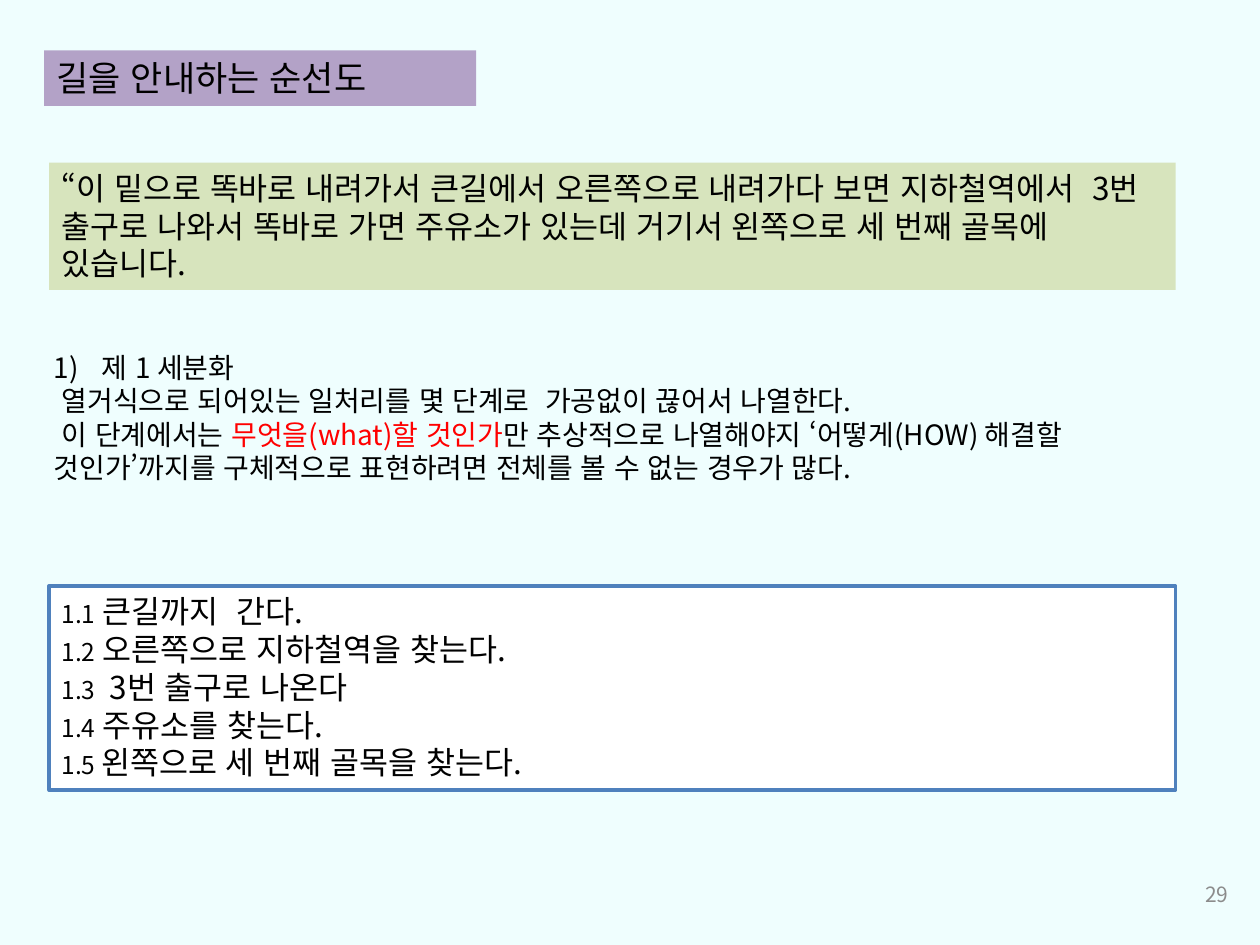
"""Build the Korean slide on breaking route directions into steps."""
import pptx
import pptx.util
import pptx.dml.color
import pptx.enum.lang
import pptx.enum.shapes
import pptx.enum.text
import pptx.oxml.ns
import lxml.etree

THEME = {
    "font": "Noto Sans CJK KR",
    "back": "EFFEFE", "head": "B3A2C7", "quote": "D7E4BD", "list": "FFFFFF",
    "edge": "4F81BD", "ink": "000000", "key": "FF0000", "page": "8C8C8C",
    "title": 20, "body": 18, "note": 16, "mark": 14, "foot": 12,
}
WIDE, HIGH = 10, 7.5
LEFT, SPAN = 0.039 * WIDE, 0.894 * WIDE
ALIGN = pptx.enum.text.PP_ALIGN
ANCHOR = pptx.enum.text.MSO_ANCHOR
RECT = pptx.enum.shapes.MSO_SHAPE.RECTANGLE


def tint(name):
    return pptx.dml.color.RGBColor.from_string(THEME[name])


def write(shape, lines, align=ALIGN.LEFT, anchor=ANCHOR.TOP):
    frame = shape.text_frame
    frame.word_wrap = True
    frame.auto_size = pptx.enum.text.MSO_AUTO_SIZE.NONE
    frame.vertical_anchor = anchor
    for row, line in enumerate(lines):
        para = frame.add_paragraph() if row else frame.paragraphs[0]
        para.alignment = align
        for text, size, color in line:
            run = para.add_run()
            run.text = text
            run.font.size = pptx.util.Pt(THEME[size])
            run.font.color.rgb = tint(color)
            run.font.name = THEME["font"]
            run.font.language_id = pptx.enum.lang.MSO_LANGUAGE_ID.KOREAN
            east = lxml.etree.SubElement(run.font._element, pptx.oxml.ns.qn("a:ea"))
            east.set("typeface", THEME["font"])


deck = pptx.Presentation()
deck.slide_width = pptx.util.Inches(WIDE)
deck.slide_height = pptx.util.Inches(HIGH)
slide = deck.slides.add_slide(deck.slide_layouts[5])
slide.background.fill.solid()
slide.background.fill.fore_color.rgb = tint("back")

title = slide.shapes.title
title.left, title.top, title.width, title.height = map(
    pptx.util.Inches, (0.035 * WIDE, 0.4, 0.343 * WIDE, 0.44))
title.fill.solid()
title.fill.fore_color.rgb = tint("head")
write(title, [[("길을 안내하는 순선도", "title", "ink")]])

quote = [[(
    "“이 밑으로 똑바로 내려가서 큰길에서 오른쪽으로 내려가다 보면 지하철역에서  3번 출구로 "
    "나와서 똑바로 가면 주유소가 있는데 거기서 왼쪽으로 세 번째 골목에 있습니다.",
    "body", "ink")]]
steps = [
    ("1.1", " 큰길까지  간다."),
    ("1.2", " 오른쪽으로 지하철역을 찾는다."),
    ("1.3", "  3번 출구로 나온다"),
    ("1.4", " 주유소를 찾는다."),
    ("1.5 ", "왼쪽으로 세 번째 골목을 찾는다."),
]
items = [[(mark, "mark", "ink"), (text, "body", "ink")] for mark, text in steps]
for fill, top, tall, lines in [("quote", 1.29, 1.01, quote), ("list", 4.65, 1.62, items)]:
    panel = slide.shapes.add_shape(
        RECT, *map(pptx.util.Inches, (LEFT, top, SPAN, tall)))
    panel.shadow.inherit = False
    panel.fill.solid()
    panel.fill.fore_color.rgb = tint(fill)
    if fill == "list":
        panel.line.color.rgb = tint("edge")
        panel.line.width = pptx.util.Pt(2)
    else:
        panel.line.fill.background()
    write(panel, lines)

note = slide.shapes.add_textbox(
    *map(pptx.util.Inches, (0.033 * WIDE, 2.73, 0.932 * WIDE, 1.18)))
write(note, [
    [("제 1 세분화", "note", "ink")],
    [(" 열거식으로 되어있는 일처리를 몇 단계로  가공없이 끊어서 나열한다.", "note", "ink")],
    [(" 이 단계에서는 ", "note", "ink"),
     ("무엇을(what)할 것인가", "note", "key"),
     ("만 추상적으로 나열해야지 ‘어떻게(HOW) 해결할 것인가’까지를 구체적으로 "
      "표현하려면 전체를 볼 수 없는 경우가 많다.", "note", "ink")],
])
props = note.text_frame.paragraphs[0]._p.get_or_add_pPr()
inset = pptx.util.Inches(0.38)
props.set("marL", str(inset))
props.set("indent", str(-inset))
count = lxml.etree.SubElement(props, pptx.oxml.ns.qn("a:buAutoNum"))
count.set("type", "arabicParenR")

page = slide.shapes.add_textbox(
    *map(pptx.util.Inches, (0.752 * WIDE, 0.92 * HIGH, 0.233 * WIDE, 0.4)))
write(page, [[("29", "foot", "page")]], ALIGN.RIGHT, ANCHOR.MIDDLE)

deck.save("out.pptx")
